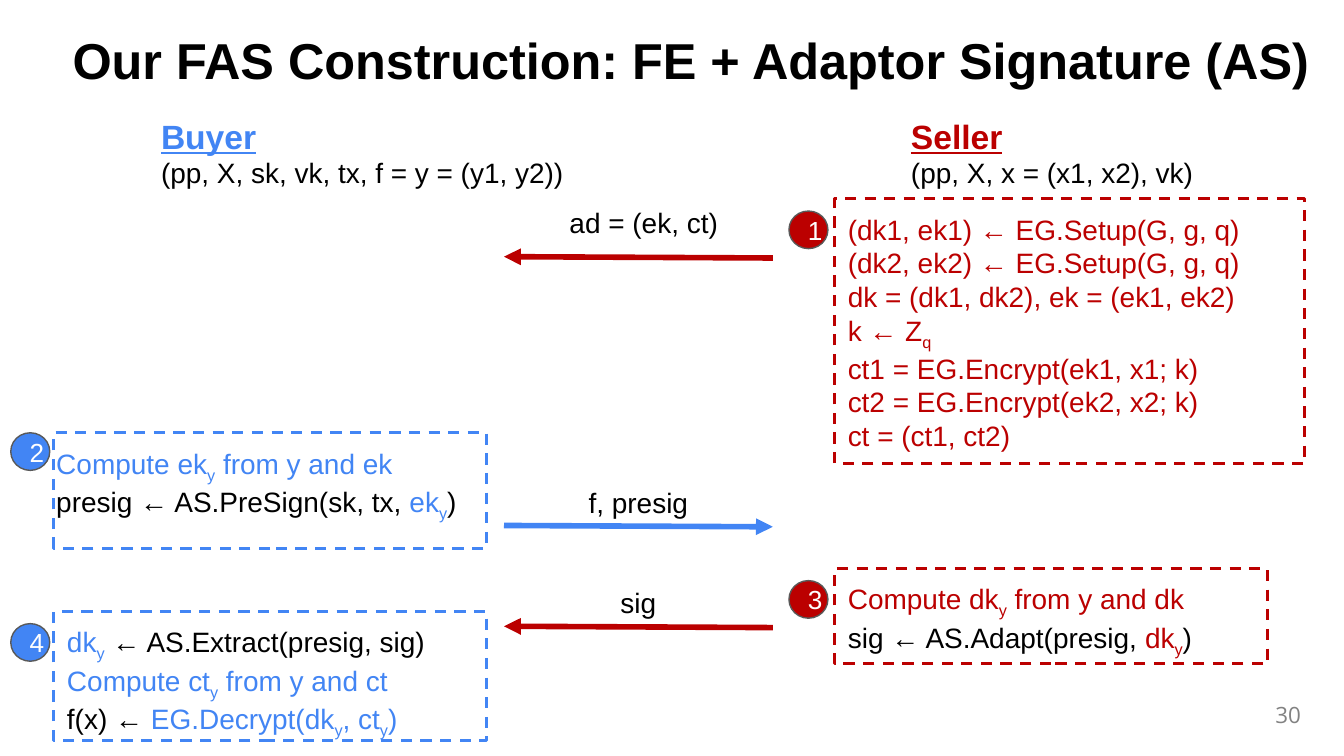
"""Build the slide on the FAS construction from FE and adaptor signatures."""
from lxml.etree import SubElement
from pptx import Presentation
from pptx.dml.color import RGBColor
from pptx.enum.dml import MSO_LINE
from pptx.enum.shapes import MSO_CONNECTOR, MSO_SHAPE
from pptx.enum.text import MSO_ANCHOR, PP_ALIGN
from pptx.oxml.ns import qn
from pptx.util import Inches, Pt

RED, BLUE, BLACK, WHITE = "BB0000", "4285F4", "000000", "FFFFFF"
GREY, EDGE = "828282", "595959"
LEFT, CENTER, RIGHT = PP_ALIGN.LEFT, PP_ALIGN.CENTER, PP_ALIGN.RIGHT
TOP, MIDDLE = MSO_ANCHOR.TOP, MSO_ANCHOR.MIDDLE

prs = Presentation()
prs.slide_width = Inches(10)
prs.slide_height = prs.slide_width * 9 // 16
s = prs.slides.add_slide(prs.slide_layouts[6])
CELL = prs.slide_width / 100


def grid(*cells):
    """Turn columns and rows of the square grid into lengths."""
    return [round(n * CELL) for n in cells]


def write(sp, lines, size=15, align=LEFT, anchor=TOP, inset=1, font="Arial"):
    """Write lines of (text, colour) parts, where _ lowers the next letter."""
    tf = sp.text_frame
    tf.word_wrap = True
    tf.vertical_anchor = anchor
    tf.margin_left, tf.margin_top, tf.margin_right, tf.margin_bottom = grid(*[inset] * 4)
    for i, parts in enumerate(lines):
        p = tf.add_paragraph() if i else tf.paragraphs[0]
        p.alignment = align
        p.font.name, p.font.size = font, Pt(size)
        for text, color in parts:
            head, *tails = text.split("_")
            pieces = [(head, False)]
            for tail in tails:
                pieces += [(tail[0], True), (tail[1:], False)]
            for piece, lowered in pieces:
                if piece:
                    r = p.add_run()
                    r.text = piece
                    r.font.color.rgb = RGBColor.from_string(color)
                    if lowered:
                        r._r.get_or_add_rPr().set("baseline", "-25000")
    return tf.paragraphs


seller_setup = [[(text, RED)] for text in (
    "(dk1, ek1) ← EG.Setup(G, g, q)",
    "(dk2, ek2) ← EG.Setup(G, g, q)",
    "dk = (dk1, dk2), ek = (ek1, ek2)",
    "k ← Z_q",
    "ct1 = EG.Encrypt(ek1, x1; k)",
    "ct2 = EG.Encrypt(ek2, x2; k)",
    "ct = (ct1, ct2)",
)]
buyer_presign = [
    [("Compute ek_y from y and ek", BLUE)],
    [("presig ← AS.PreSign(sk, tx, ", BLACK), ("ek_y", BLUE), (")", BLACK)],
]
seller_adapt = [
    [("Compute dk_y from y and dk", RED)],
    [("sig ← AS.Adapt(presig, ", BLACK), ("dk_y", RED), (")", BLACK)],
]
buyer_extract = [
    [("dk_y", BLUE), (" ← AS.Extract(presig, sig)", BLACK)],
    [("Compute ct_y from y and ct", BLUE)],
    [("f(x) ← ", BLACK), ("EG.Decrypt(dk_y, ct_y)", BLUE)],
]

sp = s.shapes.add_textbox(*grid(5, 2.3, 95, 4.8))
p = write(sp, [[("Our FAS Construction: FE + Adaptor Signature (AS)", BLACK)]],
          27, anchor=MIDDLE, inset=0.4)[0]
p.font.bold = True
p.line_spacing = 0.9

for name, inputs, color, left, width in (
    ("Buyer", "(pp, X, sk, vk, tx, f = y = (y1, y2))", BLUE, 11, 33),
    ("Seller", "(pp, X, x = (x1, x2), vk)", RED, 66.8, 26.4),
):
    sp = s.shapes.add_textbox(*grid(left, 7.6, width, 7.6))
    p = write(sp, [[(name, color)], [(inputs, BLACK)]])[0]
    p.font.size, p.font.bold, p.font.underline = Pt(18), True, True

for color, left, top, width, height, lines in (
    (RED, 62.1, 14.8, 35, 19.7, seller_setup),
    (BLUE, 4, 32.2, 32.2, 8.6, []),
    (RED, 62.1, 42.3, 32.2, 7.1, seller_adapt),
    (BLUE, 4, 45.5, 32.2, 9.6, buyer_extract),
):
    sp = s.shapes.add_shape(MSO_SHAPE.RECTANGLE, *grid(left, top, width, height))
    sp.shadow.inherit = False
    sp.fill.background()
    sp.line.color.rgb = RGBColor.from_string(color)
    sp.line.width = Pt(1.5)
    sp.line.dash_style = MSO_LINE.DASH
    write(sp, lines)

write(s.shapes.add_textbox(*grid(3.2, 32.2, 36.2, 7.1)), buyer_presign)

for number, color, left, top in (
    ("1", RED, 58.7, 15.7),
    ("2", BLUE, 0.8, 32.2),
    ("3", RED, 58.7, 43.2),
    ("4", BLUE, 0.8, 46.4),
):
    sp = s.shapes.add_shape(MSO_SHAPE.OVAL, *grid(left, top, 2.9, 2.8))
    sp.shadow.inherit = False
    sp.fill.solid()
    sp.fill.fore_color.rgb = RGBColor.from_string(color)
    sp.line.color.rgb = RGBColor.from_string(EDGE)
    sp.line.width = Pt(0.75)
    p = write(sp, [[(number, WHITE)]], 14, CENTER, MIDDLE)[0]
    pPr = p._p.get_or_add_pPr()
    pPr.set("marL", "0")
    pPr.set("indent", str(-grid(1.2)[0]))

for message, color, x1, y1, x2, y2, left, top, width in (
    ("ad = (ek, ct)", RED, 57.5, 19.2, 37.5, 19.1, 38.2, 14.8, 19.4),
    ("f, presig", BLUE, 37.5, 39.1, 57.5, 39.2, 40.3, 35.6, 14.4),
    ("sig", RED, 57.5, 46.7, 37.5, 46.6, 44, 43.1, 7),
):
    arrow = s.shapes.add_connector(MSO_CONNECTOR.STRAIGHT, *grid(x1, y1, x2, y2))
    arrow.line.color.rgb = RGBColor.from_string(color)
    arrow.line.width = Pt(3)
    SubElement(arrow.line._get_or_add_ln(), qn("a:tailEnd"), type="triangle")
    SubElement(arrow._element.spPr, qn("a:effectLst"))
    sp = s.shapes.add_textbox(*grid(left, top, width, 3.5))
    write(sp, [[(message, BLACK)]], align=CENTER, anchor=MIDDLE)

sp = s.shapes.add_textbox(*grid(94.3, 51.8, 2.9, 2.8))
write(sp, [[("30", GREY)]], 12, RIGHT, MIDDLE, 0.4, "Open Sans")

prs.save("out.pptx")
